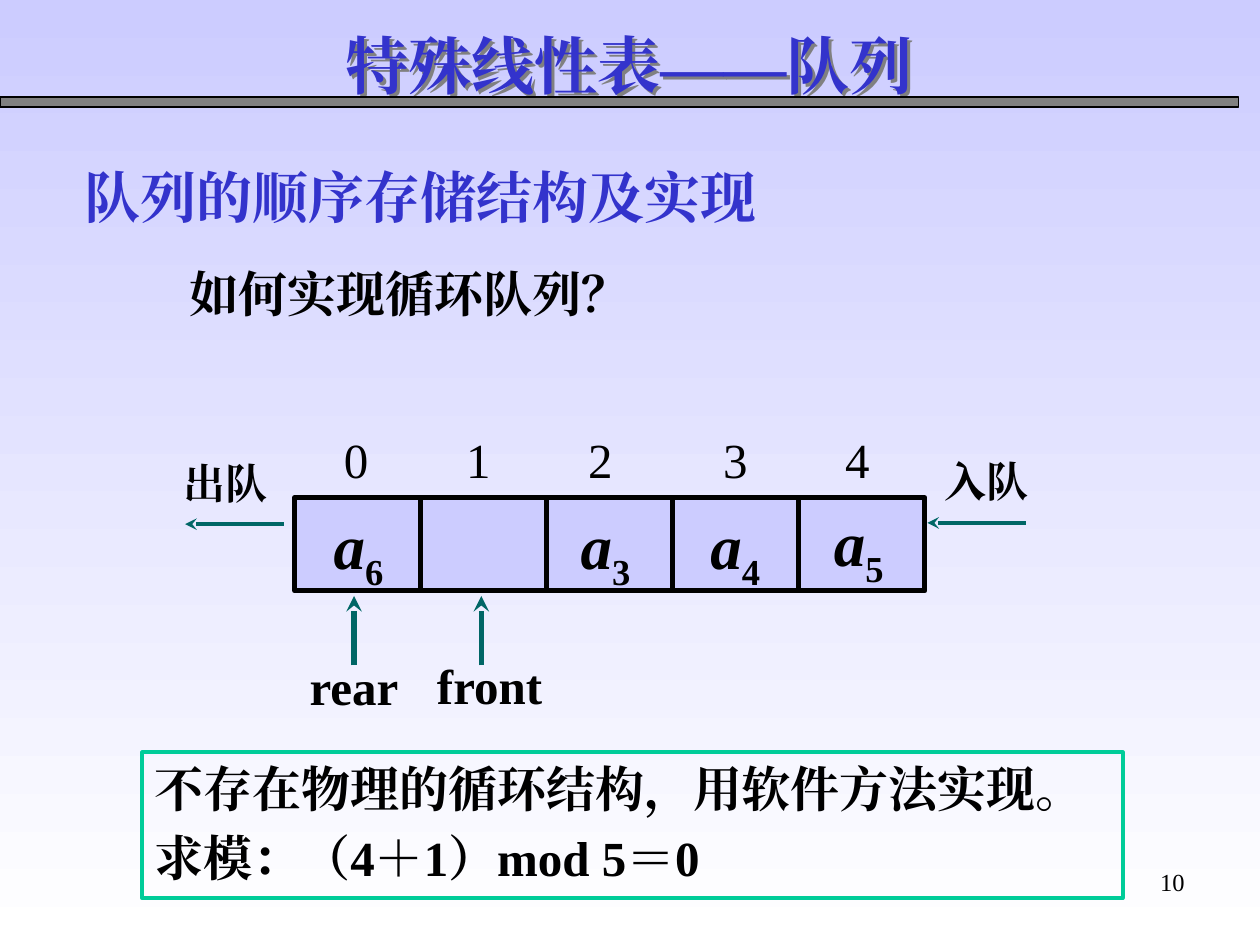
from dataclasses import dataclass

from lxml import etree
from pptx import Presentation
from pptx.dml.color import RGBColor
from pptx.enum.shapes import MSO_CONNECTOR, MSO_SHAPE
from pptx.enum.text import MSO_ANCHOR, MSO_AUTO_SIZE, PP_ALIGN
from pptx.oxml.ns import qn
from pptx.util import Pt

RECTANGLE = MSO_SHAPE.RECTANGLE
STRAIGHT = MSO_CONNECTOR.STRAIGHT
TOP = MSO_ANCHOR.TOP
NO_FIT = MSO_AUTO_SIZE.NONE
LEFT = PP_ALIGN.LEFT
RIGHT = PP_ALIGN.RIGHT
EMU_PER_PX = 9144


@dataclass(frozen=True)
class Theme:
    font: str = "Times New Roman"
    ink: str = "000000"
    heading: str = "3333CC"
    cell: str = "CCCCFF"
    paper: str = "FFFFFF"
    arrow: str = "006666"
    frame: str = "00CC99"
    gray: str = "808080"
    title_size: int = 36
    heading_size: int = 32
    body_size: int = 28
    label_size: int = 24
    number_size: int = 14


THEME = Theme()


def px(*lengths):
    return [length * EMU_PER_PX for length in lengths]


def rgb(color):
    return RGBColor.from_string(color)


def style(para, size, color=THEME.ink, bold=True, align=LEFT):
    para.alignment = align
    font = para.font
    font.name = THEME.font
    font.size = Pt(size)
    font.bold = bold
    font.color.rgb = rgb(color)
    east_asian = etree.Element(qn("a:ea"), typeface=THEME.font)
    font._element.find(qn("a:latin")).addnext(east_asian)


def add_text(page, box, text, size, **look):
    shape = page.shapes.add_textbox(*px(*box))
    frame = shape.text_frame
    frame.word_wrap = True
    para = frame.paragraphs[0]
    para.text = text
    style(para, size, **look)
    return para


def add_rectangle(page, box, fill, line, width):
    shape = page.shapes.add_shape(RECTANGLE, *px(*box))
    shape.shadow.inherit = False
    if fill:
        shape.fill.solid()
        shape.fill.fore_color.rgb = rgb(fill)
    else:
        shape.fill.background()
    shape.line.color.rgb = rgb(line)
    shape.line.width = Pt(width)
    return shape


def add_arrow(page, start, end, width):
    arrow = page.shapes.add_connector(STRAIGHT, *px(*start, *end))
    arrow.line.color.rgb = rgb(THEME.arrow)
    arrow.line.width = Pt(width)
    properties = arrow._element.spPr
    etree.SubElement(properties.find(qn("a:ln")), qn("a:tailEnd"), type="stealth")
    etree.SubElement(properties, qn("a:effectLst"))


def paint_background(page):
    fill = page.background.fill
    fill.gradient()
    fill.gradient_angle = 270
    for stop, color in zip(fill.gradient_stops, (THEME.cell, THEME.paper)):
        stop.color.rgb = rgb(color)


def add_title(page, box, text):
    title = page.shapes.title
    title.left, title.top, title.width, title.height = px(*box)
    frame = title.text_frame
    frame.text = text
    frame.word_wrap = True
    frame.auto_size = NO_FIT
    frame.vertical_anchor = TOP
    style(frame.paragraphs[0], THEME.title_size, THEME.heading)
    effects = etree.SubElement(title._element.spPr, qn("a:effectLst"))
    shadow = etree.SubElement(
        effects, qn("a:outerShdw"), dist="36000", dir="2700000", algn="ctr", rotWithShape="0")
    etree.SubElement(shadow, qn("a:srgbClr"), val=THEME.gray)


def add_indices(page, box, tab_stops):
    para = add_text(page, box, "\t".join("01234"), THEME.body_size, bold=False)
    tabs = etree.Element(qn("a:tabLst"))
    for position in px(*tab_stops):
        etree.SubElement(tabs, qn("a:tab"), pos=str(position), algn="l")
    para._p.get_or_add_pPr().find(qn("a:defRPr")).addprevious(tabs)


def add_element(page, box, subscript):
    para = add_text(page, box, "", THEME.title_size)
    letter = para.add_run()
    letter.text = "a"
    letter.font.italic = True
    index = para.add_run()
    index.text = subscript
    index._r.get_or_add_rPr().set("baseline", "-25000")


def add_queue(page, box):
    left, top, width, height = box
    cell_width = width // 5
    for column in range(5):
        cell = (left + column * cell_width, top, cell_width, height)
        add_rectangle(page, cell, THEME.cell, THEME.ink, 3)
    add_indices(page, (left + 29, top - 59, 468, 57), (97, 194, 301, 398))
    for subscript, x, y in (("6", 21, 2), ("3", 217, 2), ("4", 320, 2), ("5", 418, 0)):
        add_element(page, (left + x, top + y, 64, 70), subscript)
    for label, x, tip, y in (("出队", -98, -87, 21), ("入队", 506, 502, 20)):
        add_text(page, (left + x, top + y - 58, 108, 50), label, THEME.label_size)
        add_arrow(page, (left + tip + 78, top + y), (left + tip, top + y), 2.25)
    for label, x, y in (("rear", 47, 121), ("front", 148, 120)):
        add_arrow(page, (left + x, top + 133), (left + x, top + 78), 3)
        add_text(page, (left + x - 45, top + y, 113, 57), label, THEME.body_size)


def add_note(page, box, lines):
    frame = add_rectangle(page, box, None, THEME.frame, 2.25).text_frame
    frame.word_wrap = True
    frame.vertical_anchor = TOP
    frame.text = "\n".join(lines)
    for para in frame.paragraphs:
        style(para, THEME.body_size)
    frame.paragraphs[1].space_before = Pt(6)


def main():
    deck = Presentation()
    deck.slide_width, deck.slide_height = px(1000, 750)
    page = deck.slides.add_slide(deck.slide_layouts[5])
    paint_background(page)
    add_rectangle(page, (0, 77, 983, 8), THEME.gray, THEME.ink, 0.75)
    add_title(page, (264, 16, 589, 70), "特殊线性表——队列")
    add_text(page, (57, 124, 675, 63), "队列的顺序存储结构及实现",
             THEME.heading_size, color=THEME.heading)
    add_text(page, (141, 204, 660, 57), "如何实现循环队列？", THEME.body_size)
    add_queue(page, (234, 395, 500, 74))
    add_note(page, (113, 597, 778, 116),
             ("不存在物理的循环结构，用软件方法实现。", "求模：（4＋1）mod 5＝0"))
    add_text(page, (717, 683, 233, 52), "10", THEME.number_size, bold=False, align=RIGHT)
    deck.save("out.pptx")


if __name__ == "__main__":
    main()
